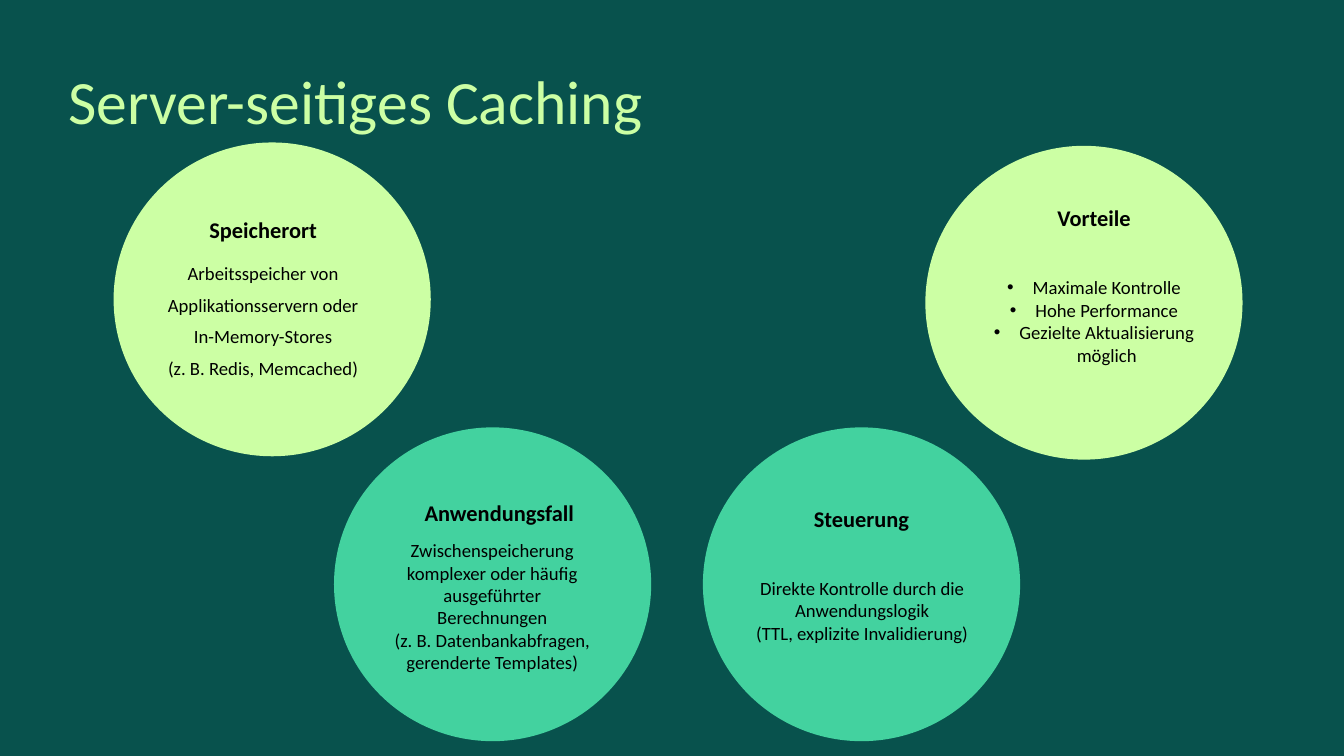
from dataclasses import dataclass

from lxml.etree import SubElement as Sub
from pptx import Presentation
from pptx.dml.color import RGBColor as RGB
from pptx.enum.shapes import MSO_SHAPE as Shape
from pptx.enum.text import PP_ALIGN as Align
from pptx.oxml.ns import qn
from pptx.util import Emu, Pt

SCALE = 9144  # EMU per px, 100 px to the inch


@dataclass(frozen=True)
class Theme:
    back: RGB = RGB(0x08, 0x52, 0x4D)
    lime: RGB = RGB(0xCC, 0xFF, 0xA4)
    mint: RGB = RGB(0x43, 0xD2, 0x9F)
    ink: RGB = RGB(0, 0, 0)
    face: str = "Calibri"
    title: int = 66
    head: int = 24
    body: int = 20


THEME = Theme()

# Circle: left, top, fill
DISCS = [
    (169, 212, THEME.lime),
    (497, 636, THEME.mint),
    (1046, 636, THEME.mint),
    (1377, 217, THEME.lime),
]
DISC_SIZE = (472, 467)

# Heading: text, left, top, width
HEADS = [
    ("Speicherort", 281, 296, 221),
    ("Anwendungsfall", 610, 717, 266),
    ("Steuerung", 1149, 726, 266),
    ("Vorteile", 1495, 279, 266),
]

# Body: lines, box, then options
BODIES = [
    (["Arbeitsspeicher von Applikationsservern oder In-Memory-Stores\n"
      "(z. B. Redis, Memcached)"],
     (236, 377, 311, 188), {"gap": 1.4}),
    (["Zwischenspeicherung komplexer oder häufig ausgeführter Berechnungen\n"
      "(z. B. Datenbankabfragen, gerenderte Templates)"],
     (577, 802, 311, 202), {}),
    (["Direkte Kontrolle durch die Anwendungslogik\n"
      "(TTL, explizite Invalidierung)"],
     (1080, 853, 406, 111), {"pad": (10, 5)}),
    (["Maximale Kontrolle", "Hohe Performance",
      "Gezielte Aktualisierung möglich"],
     (1425, 406, 406, 145), {"pad": (10, 5), "dots": True}),
]


def px(*nums):
    return [Emu(num * SCALE) for num in nums]


def add_disc(slide, left, top, fill):
    disc = slide.shapes.add_shape(Shape.OVAL, *px(left, top, *DISC_SIZE))
    disc.shadow.inherit = False
    disc.fill.solid()
    disc.fill.fore_color.rgb = fill
    disc.line.fill.background()


def add_dot(para):
    props = para._p.get_or_add_pPr()
    (hang,) = px(38)
    props.set("marL", str(hang))
    props.set("indent", str(-hang))
    Sub(props, qn("a:buFont"), typeface="Arial")
    Sub(props, qn("a:buChar"), char="•")


def add_text(slide, lines, box, size=THEME.body, color=THEME.ink, bold=False,
             align=Align.CENTER, gap=None, pad=(0, 0), dots=False):
    frame = slide.shapes.add_textbox(*px(*box)).text_frame
    frame.word_wrap = True
    side, edge = px(*pad)
    frame.margin_left = frame.margin_right = side
    frame.margin_top = frame.margin_bottom = edge
    for num, line in enumerate(lines):
        para = frame.add_paragraph() if num else frame.paragraphs[0]
        para.text = line
        para.alignment = align
        if gap:
            para.line_spacing = gap
        if dots:
            add_dot(para)
        font = para.font
        font.name, font.size, font.bold = THEME.face, Pt(size), bold
        font.color.rgb = color


def main():
    deck = Presentation()
    deck.slide_width, deck.slide_height = px(2000, 1125)
    slide = deck.slides.add_slide(deck.slide_layouts[6])
    slide.background.fill.solid()
    slide.background.fill.fore_color.rgb = THEME.back

    # Title
    add_text(slide, ["Server-seitiges Caching"], (102, 69, 1796, 137),
             THEME.title, THEME.lime, align=Align.LEFT, gap=1.23)

    # Circles
    for disc in DISCS:
        add_disc(slide, *disc)

    # Headings and bodies
    for text, left, top, width in HEADS:
        add_text(slide, [text], (left, top, width, 66), THEME.head,
                 bold=True, gap=1.63)
    for lines, box, opts in BODIES:
        add_text(slide, lines, box, **opts)

    deck.save("out.pptx")


if __name__ == "__main__":
    main()
